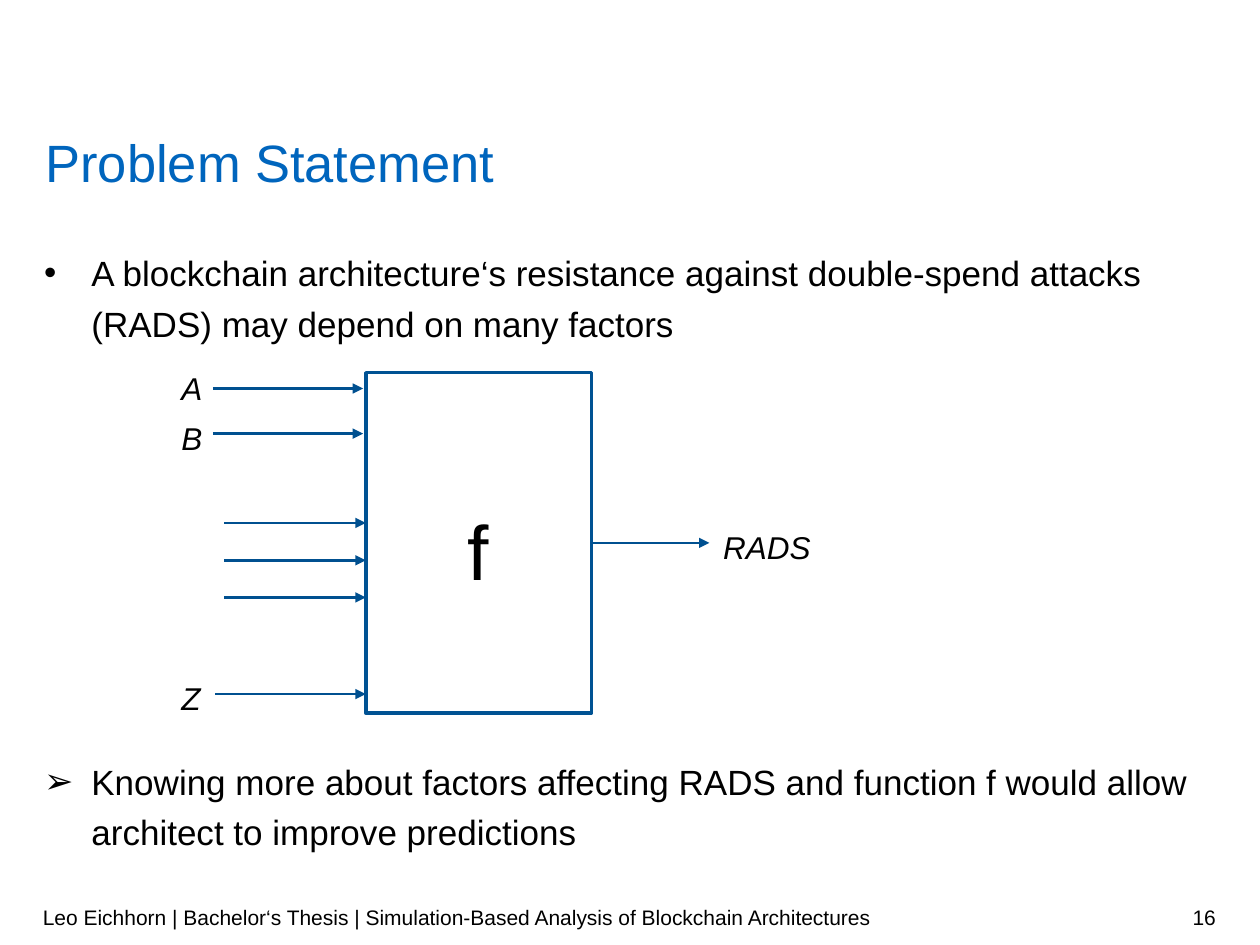
from dataclasses import dataclass

from lxml import etree
from pptx import Presentation
from pptx.dml.color import RGBColor
from pptx.enum import shapes, text
from pptx.oxml import ns
from pptx.util import Pt


@dataclass(frozen=True)
class Theme:
    """Colours, type sizes and line widths of the slide."""
    font: str = "Arial"
    ink: RGBColor = RGBColor(0, 0, 0)
    paper: RGBColor = RGBColor(255, 255, 255)
    heading: RGBColor = RGBColor(0x00, 0x65, 0xBD)
    border: RGBColor = RGBColor(0x00, 0x52, 0x93)
    arrow: RGBColor = RGBColor(0x00, 0x50, 0x90)
    title_size: int = 30
    body_size: int = 20
    label_size: int = 18
    footer_size: int = 12
    function_size: int = 44
    border_width: float = 2
    arrow_width: float = 1.5


THEME = Theme()
LEFT, TOP = text.PP_ALIGN.LEFT, text.MSO_ANCHOR.TOP
MIDDLE = text.MSO_ANCHOR.MIDDLE


def apply(target, values):
    """Set every attribute named in values on target."""
    for name, value in values.items():
        setattr(target, name, value)


def write(frame, words, size, color=THEME.ink, italic=False, align=LEFT,
          anchor=TOP, spacing=None, margin=0):
    """Fill a text frame with one formatted paragraph and return it."""
    apply(frame, dict(word_wrap=True, vertical_anchor=anchor,
                      margin_left=0, margin_right=0,
                      margin_top=Pt(margin), margin_bottom=Pt(margin)))
    paragraph = frame.paragraphs[0]
    apply(paragraph, dict(alignment=align, line_spacing=spacing))
    run = paragraph.add_run()
    run.text = words
    apply(run.font, dict(name=THEME.font, size=Pt(size), italic=italic))
    run.font.color.rgb = color
    return paragraph


def add_text(slide, box, words, size, **style):
    """Add a text box at box, given in points, and return its paragraph."""
    label = slide.shapes.add_textbox(*map(Pt, box))
    return write(label.text_frame, words, size, **style)


def add_bullet(slide, top, mark, words):
    """Add a two-line statement with a hanging bullet mark."""
    statement = add_text(slide, (25.2, top, 670.3, 60), words,
                         THEME.body_size, spacing=1.2)
    properties = statement._p.get_or_add_pPr()
    properties.set("marL", str(Pt(27)))
    properties.set("indent", str(Pt(-27)))
    for tag, key, value in (("a:buFont", "typeface", THEME.font),
                            ("a:buChar", "char", mark)):
        etree.SubElement(properties, ns.qn(tag)).set(key, value)


def add_arrow(slide, start, end, y):
    """Add a horizontal arrow from start to end and return it."""
    arrow = slide.shapes.add_connector(shapes.MSO_CONNECTOR.STRAIGHT,
                                       Pt(start), Pt(y), Pt(end), Pt(y))
    arrow.line.color.rgb = THEME.arrow
    arrow.line.width = Pt(THEME.arrow_width)
    head = etree.SubElement(arrow.line._get_or_add_ln(), ns.qn("a:tailEnd"))
    head.set("type", "triangle")
    etree.SubElement(arrow._element.spPr, ns.qn("a:effectLst"))
    return arrow


def add_function_box(slide):
    """Add the rectangle that stands for the function f and return it."""
    function = slide.shapes.add_shape(shapes.MSO_SHAPE.RECTANGLE, Pt(209),
                                      Pt(213), Pt(129), Pt(194.5))
    function.shadow.inherit = False
    function.fill.solid()
    function.fill.fore_color.rgb = THEME.paper
    function.line.color.rgb = THEME.border
    function.line.width = Pt(THEME.border_width)
    write(function.text_frame, "f", THEME.function_size, anchor=MIDDLE,
          align=text.PP_ALIGN.CENTER, spacing=1.14, margin=3.6)
    return function


def add_diagram(slide):
    """Draw the factors, the function and its result."""
    function = add_function_box(slide)
    for words, left, top, width in (("A", 103.7, 208, 49), ("B", 103.7, 236.3, 49),
                                    ("Z", 103.7, 385.2, 49),
                                    ("RADS", 413.3, 298.8, 283)):
        add_text(slide, (left, top, width, 23), words, THEME.label_size,
                 italic=True, spacing=1.14)
    for start, end, y in ((121.7, 207.5, 222), (121.7, 207.5, 247.8),
                          (128.2, 209, 298.8), (128.2, 209, 320.2),
                          (128.2, 209, 341.4), (123, 209, 396.6)):
        add_arrow(slide, start, end, y)
    result = add_arrow(slide, 338, 405.4, 310.25)
    result.begin_connect(function, 3)


def add_footer(slide):
    """Add the footer line and the page number."""
    style = dict(size=THEME.footer_size, anchor=MIDDLE, margin=3.6)
    add_text(slide, (24.5, 509.8, 509, 28.8),
             "Leo Eichhorn | Bachelor‘s Thesis | Simulation-Based Analysis "
             "of Blockchain Architectures", **style)
    add_text(slide, (533.5, 509.8, 161.3, 28.8), "16",
             align=text.PP_ALIGN.RIGHT, **style)


def main():
    """Build the slide and save it."""
    deck = Presentation()
    apply(deck, dict(slide_width=Pt(720), slide_height=Pt(540)))
    slide = deck.slides.add_slide(deck.slide_layouts[6])
    add_text(slide, (26, 78.5, 670.3, 32), "Problem Statement",
             THEME.title_size, color=THEME.heading, spacing=Pt(32))
    add_bullet(slide, 139, "•", "A blockchain architecture‘s resistance against "
               "double-spend attacks (RADS) may depend on many factors")
    add_diagram(slide)
    add_bullet(slide, 429.8, "➢", "Knowing more about factors affecting RADS and "
               "function f would allow architect to improve predictions")
    add_footer(slide)
    deck.save("out.pptx")


if __name__ == "__main__":
    main()
